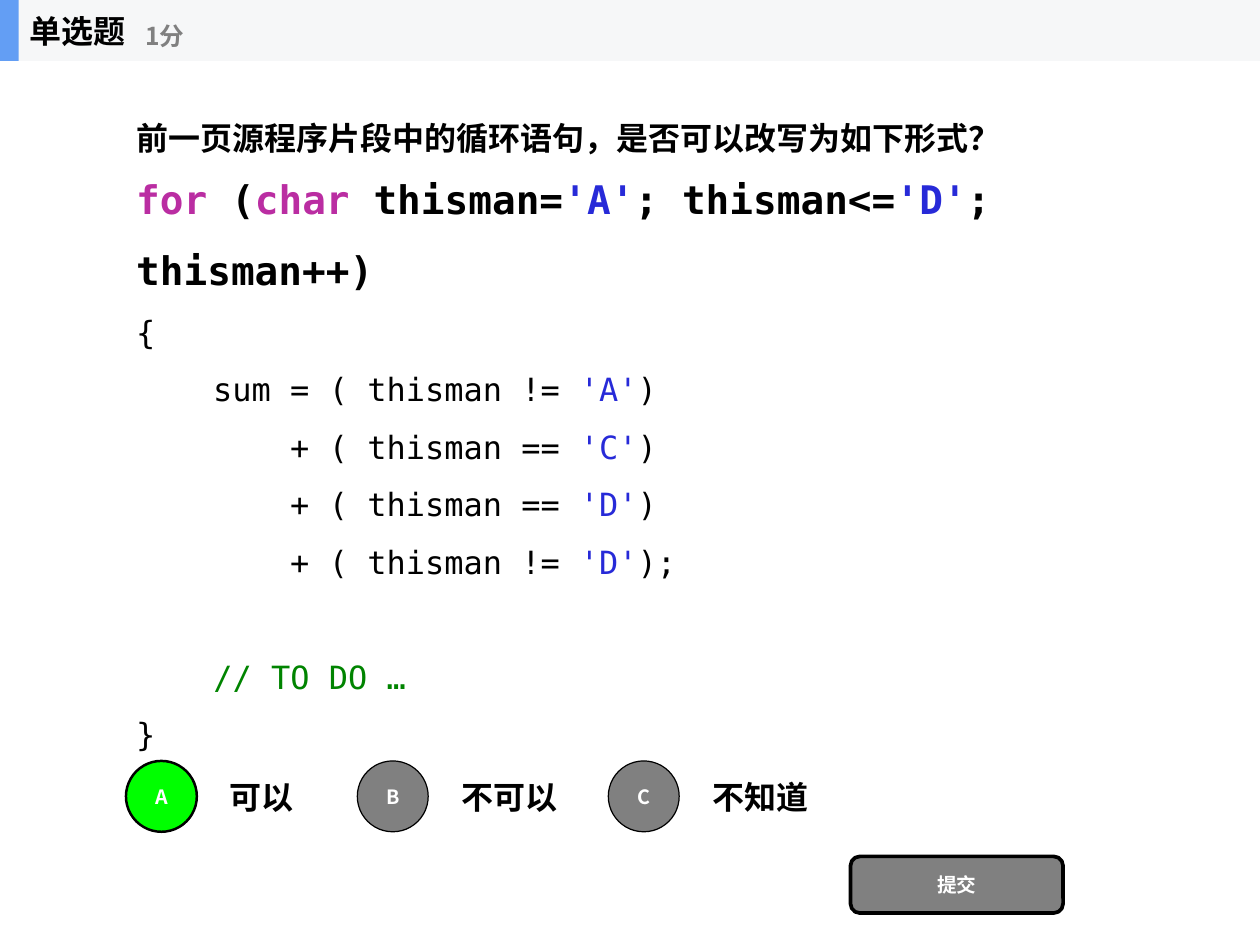
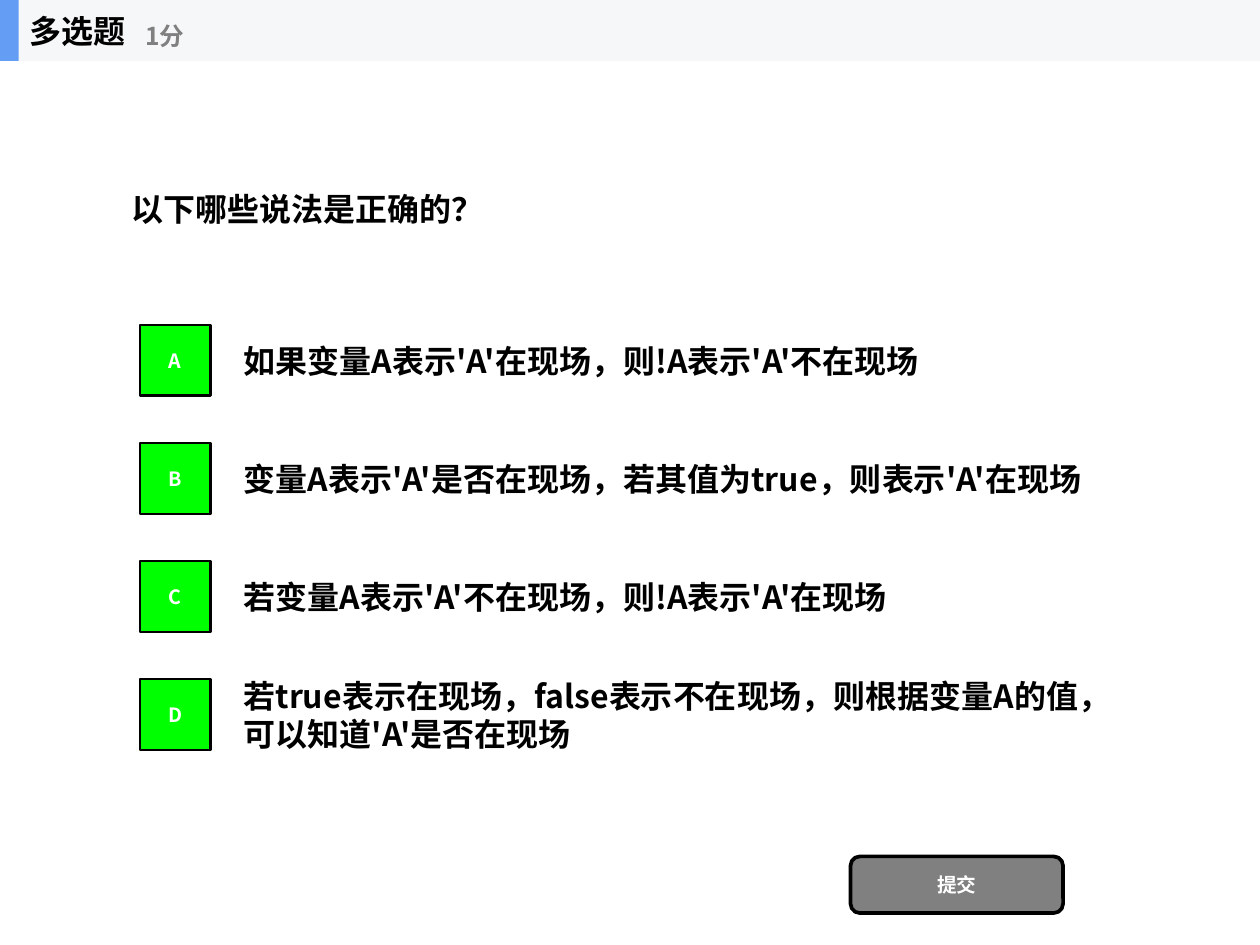
from dataclasses import dataclass
from typing import NamedTuple

import lxml.etree
import pptx
import pptx.dml.color
import pptx.enum.shapes
import pptx.enum.text
import pptx.oxml.ns
import pptx.util

COLOURS = {
    "ink": "000000", "white": "FFFFFF", "grey": "808080", "correct": "00FF00",
    "band": "F6F7F8", "accent": "639EF4",
    "keyword": "BA2DA2", "literal": "272AD8", "comment": "008400",
}
TEXT_FONT = "Noto Sans CJK SC"
CODE_FONT = "DejaVu Sans Mono"

# The slide is a grid of 128 columns by 96 rows of square cells, nine to the inch.
COLUMNS, ROWS = 128, 96
CELL = pptx.util.Inches(1) / 9
BAND_ROWS = 6.2
MARKER_SIZE = 7.2
INSET = pptx.util.Inches(0.06)

SHAPES = pptx.enum.shapes.MSO_SHAPE
ALIGN = pptx.enum.text.PP_ALIGN
AUTO_SIZE = pptx.enum.text.MSO_AUTO_SIZE


class Box(NamedTuple):
    """A place on the grid, in columns and rows."""
    column: float
    row: float
    width: float
    height: float

    def lengths(self) -> list[int]:
        return [round(cells * CELL) for cells in self]


class Token(NamedTuple):
    text: str
    colour: str = "ink"


@dataclass(frozen=True)
class Option:
    letter: str
    text: str
    column: float
    row: float
    correct: bool


def rgb(name: str) -> pptx.dml.color.RGBColor:
    return pptx.dml.color.RGBColor.from_string(COLOURS[name])


def set_font(paragraph, size: float, colour: str = "ink", bold: bool = True,
             name: str = TEXT_FONT) -> None:
    """Format a paragraph, for Latin and East Asian letters alike."""
    font = paragraph.font
    font.size = pptx.util.Pt(size)
    font.bold = bold
    font.color.rgb = rgb(colour)
    font.name = name
    properties = paragraph._p.pPr.find(pptx.oxml.ns.qn("a:defRPr"))
    east_asian = lxml.etree.SubElement(properties, pptx.oxml.ns.qn("a:ea"))
    east_asian.set("typeface", name)


def set_frame(shape, wrap: bool = True):
    frame = shape.text_frame
    frame.margin_left = frame.margin_right = INSET
    frame.margin_top = frame.margin_bottom = INSET
    frame.vertical_anchor = pptx.enum.text.MSO_ANCHOR.MIDDLE
    frame.auto_size = AUTO_SIZE.NONE
    frame.word_wrap = wrap
    return frame


def write_line(shape, text: str, size: float = 26, colour: str = "ink",
               wrap: bool = True, alignment=ALIGN.LEFT) -> None:
    paragraph = set_frame(shape, wrap).paragraphs[0]
    paragraph.text = text
    paragraph.alignment = alignment
    set_font(paragraph, size, colour)


def add_text(slide, box: Box, text: str, **style) -> None:
    write_line(slide.shapes.add_textbox(*box.lengths()), text, **style)


def add_block(slide, kind, box: Box, fill: str, line_width: float = 0, label: str = "") -> None:
    """Add a filled shape, outlined if it has a line width, with a white label."""
    shape = slide.shapes.add_shape(kind, *box.lengths())
    shape.shadow.inherit = False
    shape.fill.solid()
    shape.fill.fore_color.rgb = rgb(fill)
    if line_width:
        shape.line.color.rgb = rgb("ink")
        shape.line.width = pptx.util.Pt(line_width)
    else:
        shape.line.fill.background()
    if label:
        write_line(shape, label, 16, "white", alignment=ALIGN.CENTER)


def add_option(slide, option: Option, kind, text_width: float) -> None:
    add_text(slide, Box(option.column + 10, option.row - 0.9, text_width, 9), option.text)
    marker = Box(option.column, option.row, MARKER_SIZE, MARKER_SIZE)
    fill, line_width = ("correct", 2) if option.correct else ("grey", 1)
    add_block(slide, kind, marker, fill, line_width, option.letter)


def add_code(slide, box: Box, lines: list[list[Token]]) -> None:
    """Add a code listing whose first line is large and bold."""
    frame = set_frame(slide.shapes.add_textbox(*box.lengths()))
    frame.auto_size = AUTO_SIZE.SHAPE_TO_FIT_TEXT
    for index, tokens in enumerate(lines):
        paragraph = frame.add_paragraph() if index else frame.paragraphs[0]
        paragraph.line_spacing = 1.5
        set_font(paragraph, 26 if index else 32, bold=index == 0, name=CODE_FONT)
        for token in tokens:
            run = paragraph.add_run()
            run.text = token.text
            if token.colour != "ink":
                run.font.color.rgb = rgb(token.colour)


def add_question_slide(presentation, title: str, question: str, question_box: Box,
                       options: list[Option], marker_kind, text_width: float):
    slide = presentation.slides.add_slide(presentation.slide_layouts.get_by_name("Title Only"))
    add_block(slide, SHAPES.RECTANGLE, Box(0, 0, COLUMNS, BAND_ROWS), "band")
    add_block(slide, SHAPES.RECTANGLE, Box(0, 0, 1.9, BAND_ROWS), "accent")
    heading = slide.shapes.title
    heading.left, heading.top, heading.width, heading.height = Box(
        2.5, 0, 18.7, BAND_ROWS).lengths()
    write_line(heading, title, wrap=False)
    slide.shapes.element.append(heading.element)  # bring the title in front of the band
    add_text(slide, Box(14.2, 1.1, 22.5, 5), "1分", size=20, colour="grey", wrap=False)

    add_text(slide, question_box, question)
    for option in options:
        add_option(slide, option, marker_kind, text_width)
    add_block(slide, SHAPES.ROUNDED_RECTANGLE, Box(86.4, 87, 21.6, 5.76), "grey", 3, "提交")
    return slide


def sum_line(start: str, letter: str, end: str = ")") -> list[Token]:
    return [Token(start), Token(f"'{letter}'", "literal"), Token(end)]


LOOP_CODE = [
    [Token("for", "keyword"), Token(" ("), Token("char ", "keyword"), Token("thisman="),
     Token("'A'", "literal"), Token("; thisman<="), Token("'D'", "literal"),
     Token("; thisman++)")],
    [Token("{")],
    sum_line("    sum = ( thisman != ", "A"),
    sum_line("        + ( thisman == ", "C"),
    sum_line("        + ( thisman == ", "D"),
    sum_line("        + ( thisman != ", "D", ");"),
    [Token("    ")],
    [Token("    "), Token("// TO DO …", "comment")],
    [Token("}")],
]
SINGLE_CHOICE = [
    Option("A", "可以", 12.8, 77.3, True),
    Option("B", "不可以", 36.3, 77.3, False),
    Option("C", "不知道", 61.8, 77.3, False),
]
STATEMENTS = [
    "如果变量A表示'A'在现场，则!A表示'A'不在现场",
    "变量A表示'A'是否在现场，若其值为true，则表示'A'在现场",
    "若变量A表示'A'不在现场，则!A表示'A'在现场",
    "若true表示在现场，false表示不在现场，则根据变量A的值，可以知道'A'是否在现场",
]
MULTIPLE_CHOICE = [
    Option(letter, text, 14.2, 33 + 12 * index, True)
    for index, (letter, text) in enumerate(zip("ABCD", STATEMENTS))
]


def main() -> None:
    presentation = pptx.Presentation()
    presentation.slide_width = round(COLUMNS * CELL)
    presentation.slide_height = round(ROWS * CELL)

    loop_slide = add_question_slide(
        presentation, "单选题", "前一页源程序片段中的循环语句，是否可以改写为如下形式？",
        Box(13.3, 10.9, 102.4, 6.2), SINGLE_CHOICE, SHAPES.OVAL, 15.6)
    add_code(loop_slide, Box(13.3, 18.5, 109, 54.9), LOOP_CODE)

    add_question_slide(
        presentation, "多选题", "以下哪些说法是正确的？",
        Box(12.8, 6.2, 102.4, 30), MULTIPLE_CHOICE, SHAPES.RECTANGLE, 89.6)

    presentation.save("out.pptx")


if __name__ == "__main__":
    main()
